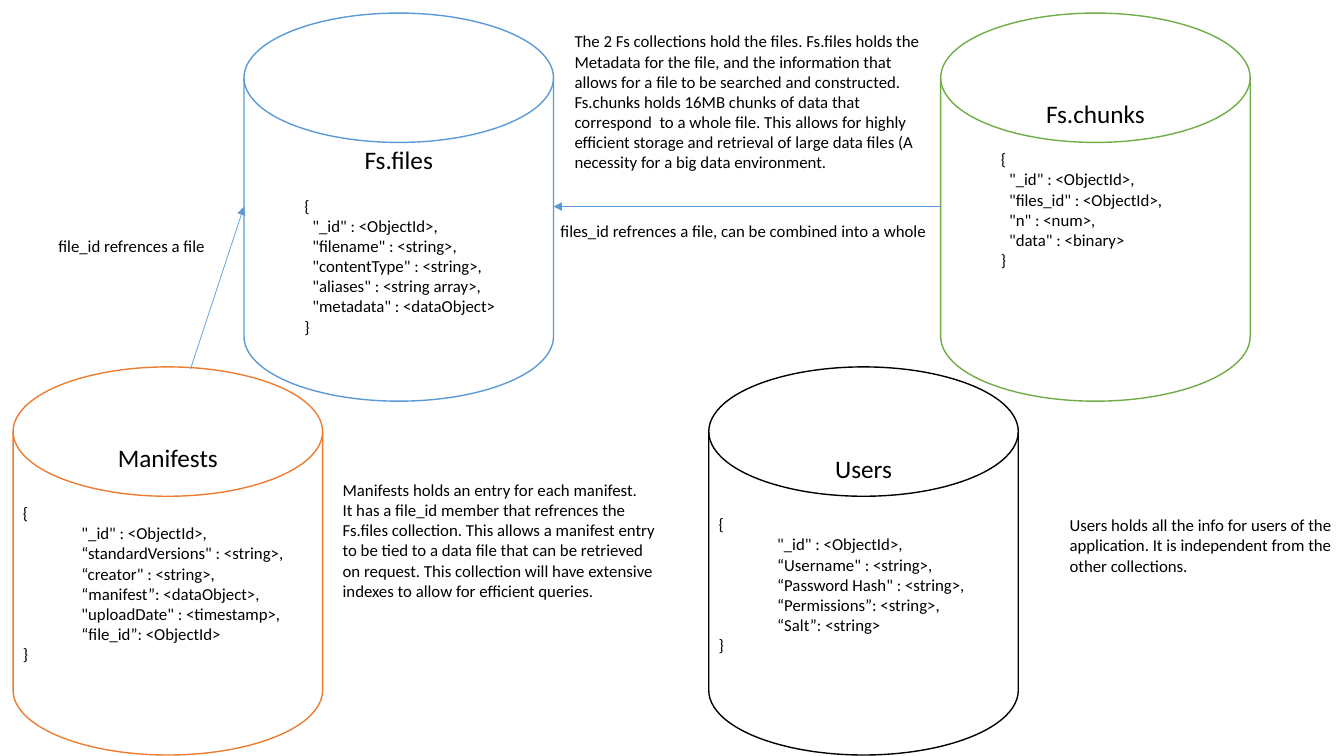
from dataclasses import dataclass

from lxml import etree
from pptx import Presentation
from pptx import util as u
from pptx.dml.color import RGBColor
from pptx.enum import shapes, text
from pptx.oxml import ns


@dataclass(frozen=True)
class Theme:
    """Colours, font and type sizes of the slide."""
    font: str = "Calibri"
    title_size: int = 18
    body_size: int = 12
    ink: str = "000000"
    paper: str = "FFFFFF"
    blue: str = "5B9BD5"
    orange: str = "ED7D31"
    green: str = "70AD47"


THEME = Theme()
DISK_WIDTH, DISK_HEIGHT = 3.07, 3.85
TOP_ROW, BOTTOM_ROW = 0.13, 3.64
BRACE_INDENT, FIELD_INDENT = 0.5, 0.08


def style(para, words, size):
    """Write words in a paragraph with the slide's font."""
    para.text = words
    para.font.name = THEME.font
    para.font.size = u.Pt(size)
    para.font.color.rgb = RGBColor.from_string(THEME.ink)


def indent(para, inches):
    """Set the left margin of a paragraph."""
    props = para._p.get_or_add_pPr()
    props.set("marL", str(u.Inches(inches)))
    props.set("indent", "0")


def add_collection(page, left, top, colour, title, fields, brace, inner, gap, lift):
    """Draw a database disk with its title and fields, lifted from the bottom."""
    disk = page.shapes.add_shape(
        shapes.MSO_SHAPE.FLOWCHART_MAGNETIC_DISK, u.Inches(left), u.Inches(top),
        u.Inches(DISK_WIDTH), u.Inches(DISK_HEIGHT))
    disk.shadow.inherit = False
    disk.fill.solid()
    disk.fill.fore_color.rgb = RGBColor.from_string(THEME.paper)
    disk.line.color.rgb = RGBColor.from_string(colour)
    disk.line.width = u.Pt(1)

    frame = disk.text_frame
    frame.word_wrap = True
    frame.vertical_anchor = text.MSO_ANCHOR.BOTTOM
    frame.margin_top = 0
    frame.margin_bottom = u.Inches(lift)
    heading = frame.paragraphs[0]
    style(heading, title, THEME.title_size)
    heading.alignment = text.PP_ALIGN.CENTER
    heading.space_after = u.Pt(gap)

    rows = [("{", brace), *((field, inner) for field in fields), ("}", brace)]
    for words, margin in rows:
        para = frame.add_paragraph()
        style(para, words, THEME.body_size)
        para.alignment = text.PP_ALIGN.LEFT
        indent(para, margin)


def add_note(page, left, top, width, height, lines):
    """Place a text box holding one paragraph per line."""
    box = page.shapes.add_textbox(
        u.Inches(left), u.Inches(top), u.Inches(width), u.Inches(height))
    frame = box.text_frame
    frame.word_wrap = False
    for number, words in enumerate(lines):
        para = frame.add_paragraph() if number else frame.paragraphs[0]
        style(para, words, THEME.body_size)


def add_reference(page, start, end):
    """Draw an arrow from one collection to the one it refers to."""
    arrow = page.shapes.add_connector(
        shapes.MSO_CONNECTOR.STRAIGHT, *(u.Inches(value) for value in start + end))
    arrow.line.color.rgb = RGBColor.from_string(THEME.blue)
    arrow.line.width = u.Pt(0.5)
    etree.SubElement(arrow.line._get_or_add_ln(), ns.qn("a:tailEnd"), type="triangle")
    etree.SubElement(arrow._element.spPr, ns.qn("a:effectLst"))


def build_page(page):
    """Place the four collections, their references and the notes."""
    nested = dict(brace=BRACE_INDENT, inner=BRACE_INDENT + FIELD_INDENT)
    flush = dict(brace=0, inner=BRACE_INDENT + FIELD_INDENT)

    add_collection(page, 2.42, TOP_ROW, THEME.blue, "Fs.files", [
        '"_id" : <ObjectId>,', '"filename" : <string>,', '"contentType" : <string>,',
        '"aliases" : <string array>,', '"metadata" : <dataObject>',
    ], gap=14.6, lift=0, **nested)
    add_collection(page, 0.13, BOTTOM_ROW, THEME.orange, "Manifests", [
        '"_id" : <ObjectId>,', '“standardVersions" : <string>,',
        '“creator" : <string>,', '“manifest”: <dataObject>,',
        '"uploadDate" : <timestamp>,', '“file_id”: <ObjectId>',
    ], gap=22, lift=0.26, **flush)
    add_collection(page, 9.33, TOP_ROW, THEME.green, "Fs.chunks", [
        '"_id" : <ObjectId>,', '"files_id" : <ObjectId>,', '"n" : <num>,',
        '"data" : <binary>',
    ], gap=14.6, lift=0.66, **nested)
    add_collection(page, 7.03, BOTTOM_ROW, THEME.ink, "Users", [
        '"_id" : <ObjectId>,', '“Username" : <string>,',
        '“Password Hash" : <string>,', '“Permissions”: <string>,', '“Salt”: <string>',
    ], gap=22, lift=0.35, **flush)

    add_reference(page, (1.89, 3.66), (2.42, 2.05))
    add_reference(page, (9.33, 2.05), (5.49, 2.05))
    add_note(page, 0.48, 2.29, 1.67, 0.3, ["file_id refrences a file"])
    add_note(page, 5.46, 2.14, 3.87, 0.3,
             ["files_id refrences a file, can be combined into a whole"])

    add_note(page, 10.51, 5.06, 2.87, 0.71, [
        "Users holds all the info for users of the ",
        "application. It is independent from the ",
        "other collections."])
    add_note(page, 3.3, 4.71, 3.34, 1.31, [
        "Manifests holds an entry for each manifest.",
        "It has a file_id member that refrences the ",
        "Fs.files collection. This allows a manifest entry",
        "to be tied to a data file that can be retrieved",
        "on request. This collection will have extensive",
        "indexes to allow for efficient queries."])
    add_note(page, 5.6, 0.26, 3.67, 1.51, [
        "The 2 Fs collections hold the files. Fs.files holds the",
        "Metadata for the file, and the information that ",
        "allows for a file to be searched and constructed.",
        "Fs.chunks holds 16MB chunks of data that ",
        "correspond  to a whole file. This allows for highly",
        "efficient storage and retrieval of large data files (A",
        "necessity for a big data environment."])


deck = Presentation()
deck.slide_width, deck.slide_height = u.Inches(13.33), u.Inches(7.5)
build_page(deck.slides.add_slide(deck.slide_layouts[6]))
deck.save("out.pptx")
